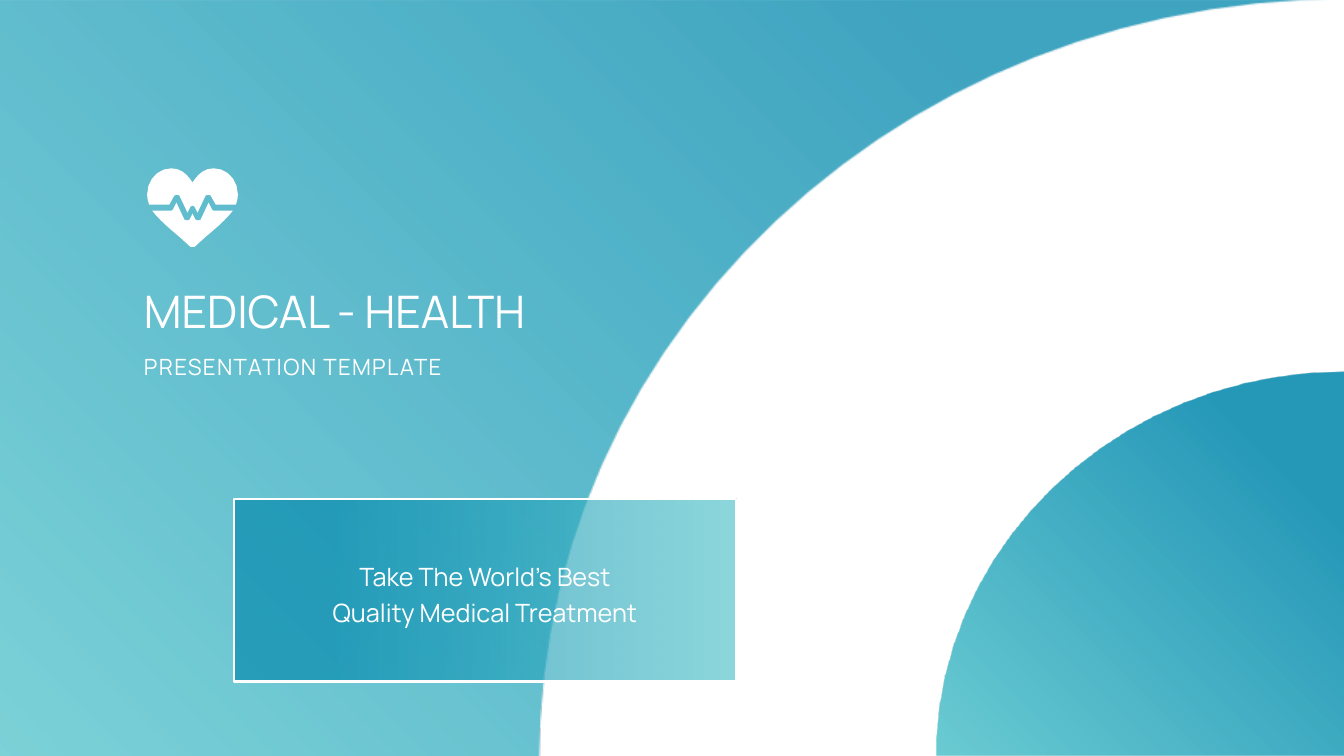
import math

import pptx
import pptx.dml.color
import pptx.enum.shapes
import pptx.enum.text
import pptx.oxml.ns
import pptx.util
from pptx.util import Inches

WHITE = pptx.dml.color.RGBColor(0xFF, 0xFF, 0xFF)
AQUA = pptx.dml.color.RGBColor(0x52, 0xC3, 0xCB)
OCEAN = pptx.dml.color.RGBColor(0x01, 0x87, 0xAD)
FONT = "Manrope"
HEART_AXIS = 1.91

# A pair is a corner; six numbers are two control points and an end point.
BACKDROP = [(0, 0), (13.18, 0), (12.93, 0.01),
            (8.85, 0.2, 5.57, 3.28, 5.36, 7.14), (5.35, 7.5), (0, 7.5)]
CORNER_DISC = [(13.33, 3.69), (13.33, 7.5), (9.29, 7.5), (9.29, 7.32),
               (9.4, 5.3, 11.17, 3.69, 13.33, 3.69)]
HEART_TOP_LEFT = [
    (1.91, 1.81), (1.87, 1.75, 1.81, 1.67, 1.7, 1.67),
    (1.57, 1.67, 1.46, 1.78, 1.46, 1.93), (1.46, 1.97, 1.47, 2, 1.48, 2.03),
    (1.68, 2.03), (1.73, 1.94), (1.74, 1.93, 1.77, 1.93, 1.78, 1.94),
    (1.86, 2.11), (1.89, 2.05), (1.91, 2.04)]
HEART_BOTTOM_LEFT = [
    (1.91, 2.12), (1.88, 2.18), (1.87, 2.19, 1.84, 2.19, 1.83, 2.18),
    (1.75, 2.01), (1.72, 2.07), (1.72, 2.08, 1.71, 2.09, 1.7, 2.09),
    (1.51, 2.09), (1.57, 2.17, 1.66, 2.25, 1.78, 2.35), (1.89, 2.45)]


def trace(segments):
    """Turn corners and Bezier segments into points, more on longer curves."""
    points = []
    for segment in segments:
        if len(segment) == 2:
            points.append(segment)
            continue
        x0, y0 = points[-1]
        x1, y1, x2, y2, x3, y3 = segment
        steps = math.ceil(8 * math.sqrt(math.hypot(x3 - x0, y3 - y0)))
        for step in range(1, steps + 1):
            t = step / steps
            a, b, c, d = (1 - t) ** 3, 3 * t * (1 - t) ** 2, 3 * t * t * (1 - t), t ** 3
            points.append((a * x0 + b * x1 + c * x2 + d * x3,
                           a * y0 + b * y1 + c * y2 + d * y3))
    return points


def mirror(points):
    """Close a left half with its reflection in the heart's axis."""
    return points + [(2 * HEART_AXIS - x, y) for x, y in reversed(points)]


def add_outline(page, points):
    start, *rest = [(Inches(x), Inches(y)) for x, y in points]
    builder = page.shapes.build_freeform(*start)
    builder.add_line_segments(rest, close=True)
    shape = builder.convert_to_shape()
    shape.shadow.inherit = False
    shape.line.fill.background()
    return shape


def fill_gradient(shape, opacity, angle):
    """Blend aqua into ocean; the angle runs counter-clockwise."""
    shape.fill.gradient()
    shape.fill.gradient_angle = angle
    for stop, color, position in zip(shape.fill.gradient_stops, (AQUA, OCEAN), (0, 0.8)):
        stop.color.rgb = color
        stop.position = position
    for color in shape._element.spPr.iter(pptx.oxml.ns.qn("a:srgbClr")):
        alpha = pptx.oxml.parse_xml(f'<a:alpha {pptx.oxml.ns.nsdecls("a")}/>')
        alpha.set("val", str(opacity * 1000))
        color.append(alpha)


def add_heart_half(page, left_half):
    shape = add_outline(page, mirror(trace(left_half)))
    shape.fill.solid()
    shape.fill.fore_color.rgb = WHITE


def add_button(page):
    button = page.shapes.add_shape(pptx.enum.shapes.MSO_SHAPE.RECTANGLE, Inches(2.32),
                                   Inches(4.95), Inches(4.98), Inches(1.81))
    button.shadow.inherit = False
    fill_gradient(button, 65, 180)
    button.line.color.rgb = WHITE
    button.line.width = pptx.util.Pt(2)


def add_text(page, place, lines, size, wrap=True, spacing=0, paragraph_format=None):
    """Write white lines; spacing is the letter spacing in points."""
    box = page.shapes.add_textbox(*map(Inches, place))
    frame = box.text_frame
    frame.word_wrap = wrap
    frame.auto_size = pptx.enum.text.MSO_AUTO_SIZE.SHAPE_TO_FIT_TEXT
    for index, line in enumerate(lines):
        para = frame.add_paragraph() if index else frame.paragraphs[0]
        for name, value in (paragraph_format or {}).items():
            setattr(para, name, value)
        span = para.add_run()
        span.text = line
        for name, value in {"name": FONT, "size": pptx.util.Pt(size)}.items():
            setattr(span.font, name, value)
        span.font.color.rgb = WHITE
        if spacing:
            span.font._element.set("spc", str(spacing * 100))


def main():
    deck = pptx.Presentation()
    deck.slide_width, deck.slide_height = Inches(13.33), Inches(7.5)
    page = deck.slides.add_slide(deck.slide_layouts[6])

    for outline, opacity in ((BACKDROP, 75), (CORNER_DISC, 85)):
        fill_gradient(add_outline(page, trace(outline)), opacity, 45)

    add_text(page, (1.33, 2.77, 4.37, 0.64), ["MEDICAL - HEALTH"], 32, wrap=False)
    for half in (HEART_TOP_LEFT, HEART_BOTTOM_LEFT):
        add_heart_half(page, half)
    add_text(page, (1.33, 3.45, 4.16, 0.37), ["PRESENTATION TEMPLATE"], 16, spacing=1)

    add_button(page)
    centred = {"alignment": pptx.enum.text.PP_ALIGN.CENTER, "line_spacing": 1.2}
    add_text(page, (2.74, 5.46, 4.14, 0.8),
             ["Take The World’s Best", "Quality Medical Treatment"], 18,
             paragraph_format=centred)

    deck.save("out.pptx")


if __name__ == "__main__":
    main()
